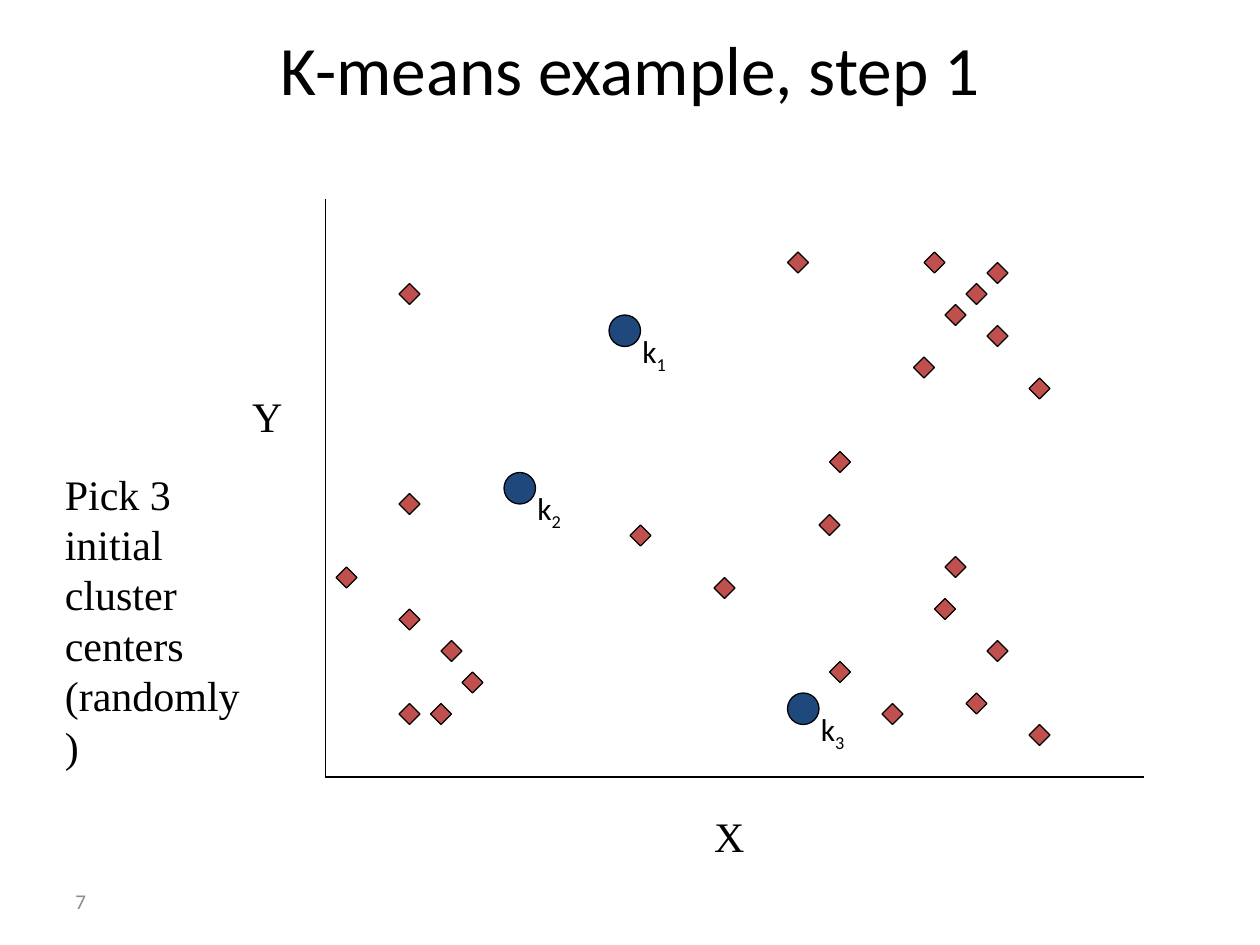
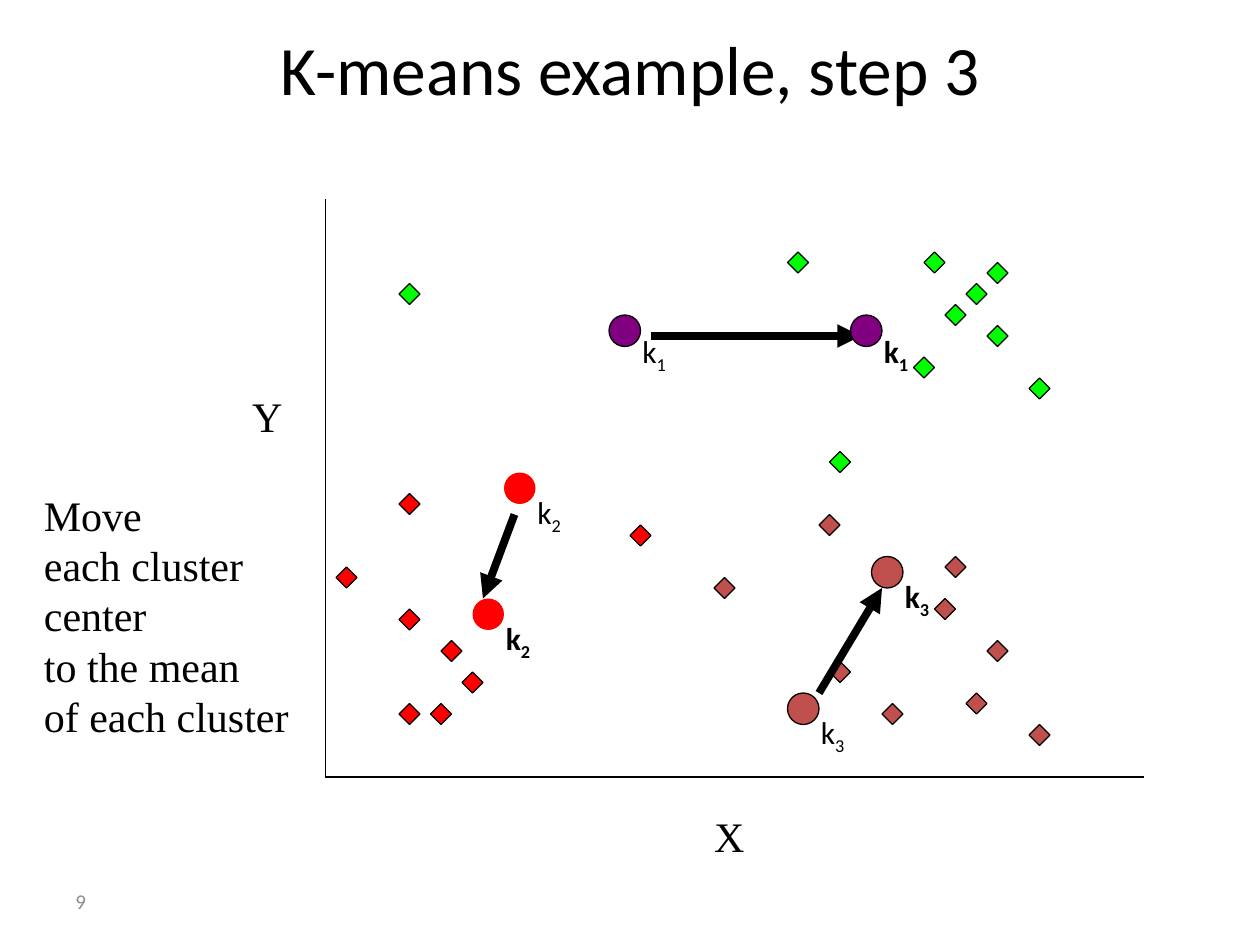
from dataclasses import dataclass
from typing import NamedTuple

from lxml import etree
from pptx import Presentation
from pptx import util as u
from pptx.dml.color import RGBColor
from pptx.enum import shapes, text
from pptx.oxml import ns

Pt = u.Pt


@dataclass(frozen=True)
class Theme:
    ink: str = "000000"
    grey: str = "8C8C8C"
    blue: str = "1F497D"
    brick: str = "C0504D"
    red: str = "FF0000"
    green: str = "00FF00"
    plum: str = "800080"
    sans: str = "Calibri"
    serif: str = "Times New Roman"
    head: float = 39.6
    body: float = 24
    label: float = 18
    foot: float = 12
    thin: float = 0.75
    thick: float = 4.5


class Spot(NamedTuple):
    x: float
    y: float


class Box(NamedTuple):
    x: float
    y: float
    w: float
    h: float


class Style(NamedTuple):
    font: str
    size: float
    color: str
    bold: bool = False


class Center(NamedTuple):
    sub: str
    at: Spot
    fill: str
    edge: bool = True
    bold: bool = False
    mid: bool = False


class Arrow(NamedTuple):
    start: Spot
    end: Spot


@dataclass(frozen=True)
class Step:
    title: str
    page: str
    note: list[str]
    frame: Box
    wrap: bool
    fills: dict[str, str]
    centers: list[Center]
    arrows: list[Arrow]


T = Theme()
GRID = 6
SIDE = 12
DOT = 18
BODY = Style(T.serif, T.body, T.ink)
FOOT = Style(T.sans, T.foot, T.grey)

POINTS = {
    "upper": [(38, 27), (88, 24), (94, 25), (92, 27), (90, 29),
              (94, 31), (98, 36), (75, 24), (79, 43), (87, 34)],
    "left": [(42, 61), (44, 64), (41, 67), (38, 58),
             (38, 47), (38, 67), (32, 54), (60, 50)],
    "lower": [(79, 63), (84, 67), (89, 57), (78, 49), (68, 55),
              (94, 61), (92, 66), (90, 53), (98, 69)],
}
ORIGIN = Spot(31, 74)
AXES = [Arrow(Spot(31, 19), ORIGIN), Arrow(ORIGIN, Spot(109, 74))]
NAMES = {"X": Box(401, 459.5, 32, 36), "Y": Box(137, 219.5, 32, 36)}
K1, K2, K3 = Spot(58, 30), Spot(48, 45), Spot(75, 66)

STEPS = [
    Step(
        "K-means example, step 1", "7",
        ["Pick 3", "initial", "cluster", "centers", "(randomly)"],
        Box(30, 264, 122, 180), False,
        dict.fromkeys(POINTS, T.brick),
        [Center(str(i), at, T.blue) for i, at in enumerate((K1, K2, K3), 1)],
        [],
    ),
    Step(
        "K-means example, step 3", "9",
        ["Move", "each cluster center", "to the mean", "of each cluster"],
        Box(18, 276, 168, 180), True,
        {"upper": T.green, "left": T.red, "lower": T.brick},
        [
            Center("1", K1, T.plum),
            Center("1", Spot(81, 30), T.plum, bold=True),
            Center("2", K2, T.red, edge=False, mid=True),
            Center("2", Spot(45, 57), T.red, edge=False, bold=True, mid=True),
            Center("3", K3, T.brick, mid=True),
            Center("3", Spot(83, 53), T.brick, bold=True, mid=True),
        ],
        [
            Arrow(Spot(62, 32), Spot(82, 32)),
            Arrow(Spot(49, 49), Spot(46, 57)),
            Arrow(Spot(78, 66), Spot(84, 56)),
        ],
    ),
]


def rgb(code: str) -> RGBColor:
    return RGBColor.from_string(code)


def style(para, look: Style) -> None:
    para.font.name = look.font
    para.font.size = Pt(look.size)
    para.font.bold = look.bold
    para.font.color.rgb = rgb(look.color)


def write(slide, box: Box, lines: list[str], look: Style,
          wrap: bool = True, mid: bool = False):
    frame = slide.shapes.add_textbox(*map(Pt, box)).text_frame
    frame.word_wrap = wrap
    if mid:
        frame.vertical_anchor = text.MSO_ANCHOR.MIDDLE
    frame.text = "\n".join(lines)
    for para in frame.paragraphs:
        style(para, look)
    return frame


def mark(slide, kind, at: Spot, size: float, fill: str,
         edge: bool = True) -> None:
    shape = slide.shapes.add_shape(
        kind, Pt(at.x * GRID), Pt(at.y * GRID), Pt(size), Pt(size))
    shape.shadow.inherit = False
    shape.fill.solid()
    shape.fill.fore_color.rgb = rgb(fill)
    if edge:
        shape.line.color.rgb = rgb(T.ink)
        shape.line.width = Pt(T.thin)
    else:
        shape.line.fill.background()


def stroke(slide, way: Arrow, width: float, tip: bool = False) -> None:
    ends = [Pt(v * GRID) for v in (*way.start, *way.end)]
    line = slide.shapes.add_connector(shapes.MSO_CONNECTOR.STRAIGHT, *ends)
    line.line.color.rgb = rgb(T.ink)
    line.line.width = Pt(width)
    props = line.element.spPr
    if tip:
        etree.SubElement(props.find(ns.qn("a:ln")), ns.qn("a:tailEnd"),
                         type="triangle")
    etree.SubElement(props, ns.qn("a:effectLst"))


def center(slide, item: Center) -> None:
    mark(slide, shapes.MSO_SHAPE.OVAL, item.at, DOT, item.fill, item.edge)
    box = Box((item.at.x + 2) * GRID, (item.at.y + 1) * GRID, 42, 36)
    look = Style(T.sans, T.label, T.ink, item.bold)
    para = write(slide, box, ["k"], look, mid=item.mid).paragraphs[0]
    low = para.add_run()
    low.text = item.sub
    low._r.get_or_add_rPr().set("baseline", "-25000")


def head(slide, words: str) -> None:
    title = slide.shapes.title
    title.left, title.top, title.width, title.height = map(
        Pt, Box(54, 18, 612, 42))
    frame = title.text_frame
    frame.text = words
    frame.auto_size = text.MSO_AUTO_SIZE.NONE
    frame.vertical_anchor = text.MSO_ANCHOR.MIDDLE
    para = frame.paragraphs[0]
    para.alignment = text.PP_ALIGN.CENTER
    style(para, Style(T.sans, T.head, T.ink))


def draw(deck, step: Step) -> None:
    slide = deck.slides.add_slide(deck.slide_layouts[5])
    head(slide, step.title)
    write(slide, Box(36, 500.5, 168, 28.75), [step.page], FOOT, mid=True)
    for group, spots in POINTS.items():
        for spot in spots:
            mark(slide, shapes.MSO_SHAPE.DIAMOND, Spot(*spot), SIDE,
                 step.fills[group])
    for arrow in step.arrows:
        stroke(slide, arrow, T.thick, tip=True)
    for axis in AXES:
        stroke(slide, axis, T.thin)
    for name, box in NAMES.items():
        write(slide, box, [name], BODY, wrap=False)
    write(slide, step.frame, step.note, BODY, wrap=step.wrap)
    for item in step.centers:
        center(slide, item)


def main() -> None:
    deck = Presentation()
    deck.slide_width, deck.slide_height = Pt(720), Pt(540)
    for step in STEPS:
        draw(deck, step)
    deck.save("out.pptx")


if __name__ == "__main__":
    main()
